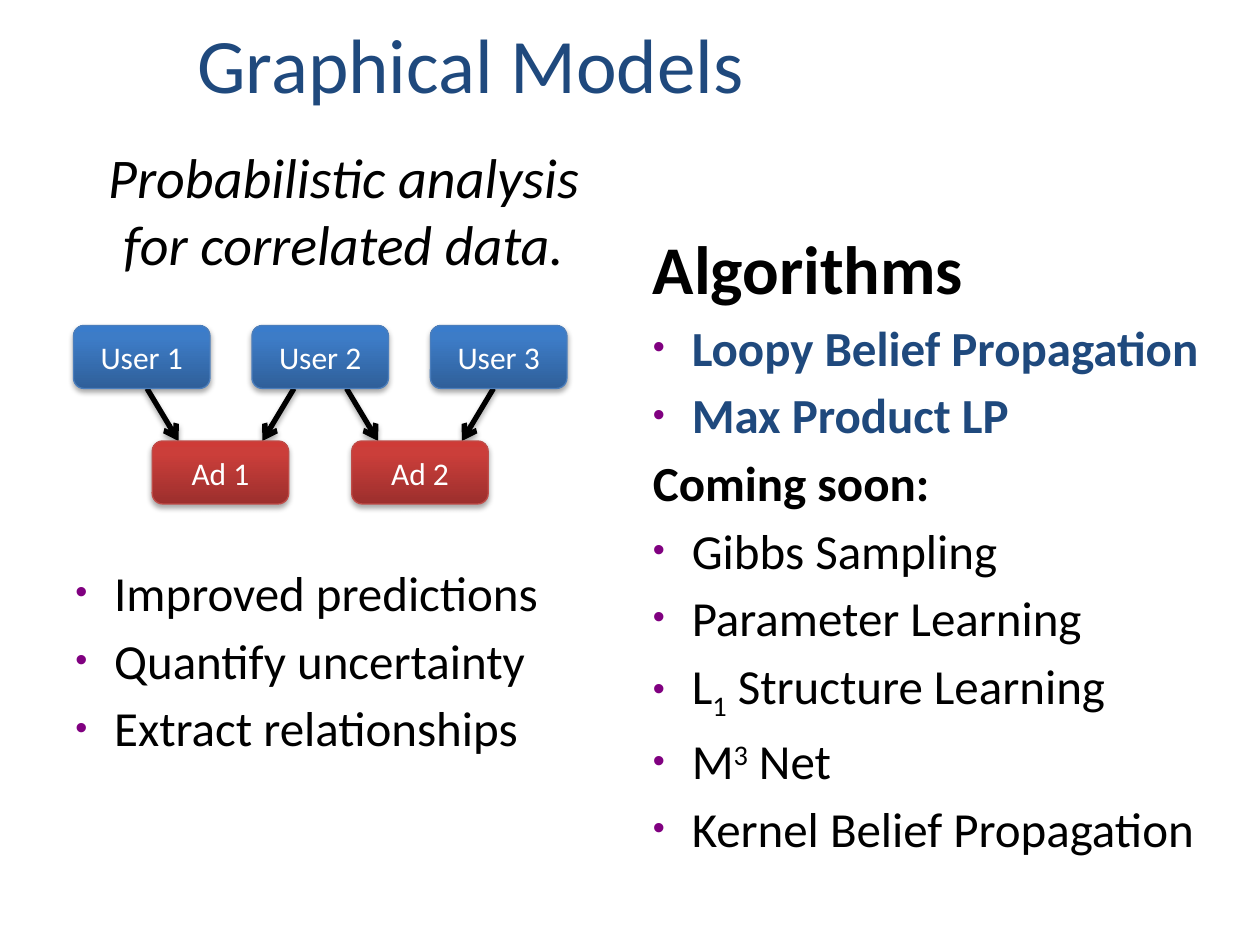
from copy import deepcopy
from dataclasses import dataclass

from lxml import etree
from pptx import Presentation
from pptx import util as u
from pptx.dml.color import RGBColor
from pptx.enum import shapes, text
from pptx.oxml import ns

PX = 7620


@dataclass(frozen=True)
class Theme:
    font: str = "Calibri"
    navy: str = "1F497D"
    black: str = "000000"
    white: str = "FFFFFF"
    bullet: str = "800080"
    title: int = 44
    heading: int = 39
    lead: int = 32
    body: int = 28
    label: int = 18
    gap: int = 5
    indent: int = 37


@dataclass(frozen=True)
class Palette:
    stops: tuple[tuple[float, str], ...]
    outline: str


@dataclass(frozen=True)
class Node:
    label: str
    left: int
    top: int
    palette: Palette


@dataclass(frozen=True)
class Line:
    spans: tuple[tuple[str, int], ...]
    size: int = Theme.body
    color: str = Theme.black
    bold: bool = False
    italic: bool = False
    bullet: bool = True
    centered: bool = False


THEME = Theme()
BLUE = Palette(((0, "2F5F99"), (0.8, "3D7CC7"), (1, "3A7CCB")), "4B7EBC")
RED = Palette(((0, "9C2F2D"), (0.8, "CB3E3A"), (1, "CE3B37")), "BF4C48")
NODE_WIDTH, NODE_HEIGHT = 130, 60
USER_TOP, AD_TOP = 310, 420
ADS = [Node(f"Ad {i + 1}", 145 + 190 * i, AD_TOP, RED) for i in range(2)]
USERS = [Node(f"User {i + 1}", 70 + 170 * i, USER_TOP, BLUE) for i in range(3)]
ARROWS = [(140, 170), (280, 250), (330, 360), (470, 440)]

LEAD = [Line((("Probabilistic analysis for correlated data.", 0),),
             size=THEME.lead, italic=True, bullet=False, centered=True)]
BENEFITS = [Line(((words, 0),)) for words in
            ("Improved predictions", "Quantify uncertainty", "Extract relationships")]
ALGORITHMS = [
    Line((("Algorithms", 0),), size=THEME.heading, bold=True, bullet=False),
    Line((("Loopy Belief Propagation", 0),), color=THEME.navy, bold=True),
    Line((("Max Product LP", 0),), color=THEME.navy, bold=True),
    Line((("Coming soon:", 0),), bold=True, bullet=False),
    Line((("Gibbs Sampling", 0),)),
    Line((("Parameter Learning", 0),)),
    Line((("L", 0), ("1", -25000), (" Structure Learning", 0))),
    Line((("M", 0), ("3", 30000), (" Net", 0))),
    Line((("Kernel Belief Propagation", 0),)),
]


def px(*lengths: int) -> list[int]:
    return [length * PX for length in lengths]


def add_element(parent, tag: str, **values):
    child = etree.SubElement(parent, ns.qn(tag))
    for name, value in values.items():
        child.set(name, str(value))
    return child


def style_font(font, color: str, **values) -> None:
    for name, value in {"name": THEME.font, **values}.items():
        setattr(font, name, value)
    font.color.rgb = RGBColor.from_string(color)


def add_shadow(properties) -> None:
    effects = add_element(properties, "a:effectLst")
    shadow = add_element(effects, "a:outerShdw", blurRad=40000, dist=23000,
                         dir=5400000, rotWithShape=0)
    color = add_element(shadow, "a:srgbClr", val=THEME.black)
    add_element(color, "a:alpha", val=35000)


def add_bullet(para) -> None:
    properties = para._p.get_or_add_pPr()
    properties.set("marL", str(THEME.indent * PX))
    properties.set("indent", str(-THEME.indent * PX))
    add_element(add_element(properties, "a:buClr"), "a:srgbClr", val=THEME.bullet)
    add_element(properties, "a:buSzPct", val=70000)
    add_element(properties, "a:buFont", typeface="Arial")
    add_element(properties, "a:buChar", char="•")


def draw_text(page, place: tuple[int, int, int, int], lines: list[Line]) -> None:
    frame = page.shapes.add_textbox(*px(*place)).text_frame
    frame.word_wrap = True
    for index, line in enumerate(lines):
        para = frame.add_paragraph() if index else frame.paragraphs[0]
        if line.bullet:
            add_bullet(para)
        if line.centered:
            para.alignment = text.PP_ALIGN.CENTER
        para.space_before = u.Pt(THEME.gap if index else 0)
        for words, baseline in line.spans:
            span = para.add_run()
            span.text = words
            style_font(span.font, line.color, size=u.Pt(line.size),
                       bold=line.bold, italic=line.italic)
            if baseline:
                span._r.get_or_add_rPr().set("baseline", str(baseline))


def draw_title(page, words: str) -> None:
    title = page.shapes.title
    for name, value in zip(("left", "top", "width", "height"), px(176, 10, 984, 100)):
        setattr(title, name, value)
    frame = title.text_frame
    frame.auto_size = text.MSO_AUTO_SIZE.NONE
    frame.vertical_anchor = text.MSO_ANCHOR.BOTTOM
    para = frame.paragraphs[0]
    para.alignment = text.PP_ALIGN.LEFT
    span = para.add_run()
    span.text = words
    style_font(span.font, THEME.navy, size=u.Pt(THEME.title))


def draw_arrow(page, start: int, end: int) -> None:
    arrow = page.shapes.add_connector(
        shapes.MSO_CONNECTOR.STRAIGHT, *px(start, USER_TOP + NODE_HEIGHT, end, AD_TOP))
    arrow.line.width = u.Pt(3)
    arrow.line.color.rgb = RGBColor.from_string(THEME.black)
    add_element(arrow.line._get_or_add_ln(), "a:tailEnd", type="arrow")
    add_shadow(arrow._element.spPr)


def draw_node(page, node: Node) -> None:
    box = page.shapes.add_shape(shapes.MSO_SHAPE.ROUNDED_RECTANGLE,
                                *px(node.left, node.top, NODE_WIDTH, NODE_HEIGHT))
    box.fill.gradient()
    box.fill.gradient_angle = 90
    stop_list = box._element.spPr.find(".//" + ns.qn("a:gsLst"))
    stop_list.append(deepcopy(stop_list[-1]))
    for stop, (position, color) in zip(box.fill.gradient_stops, node.palette.stops):
        stop.position = position
        stop.color.rgb = RGBColor.from_string(color)
    box.line.color.rgb = RGBColor.from_string(node.palette.outline)
    box.line.width = u.Pt(0.75)
    add_shadow(box._element.spPr)
    frame = box.text_frame
    frame.vertical_anchor = text.MSO_ANCHOR.MIDDLE
    para = frame.paragraphs[0]
    para.alignment = text.PP_ALIGN.CENTER
    span = para.add_run()
    span.text = node.label
    style_font(span.font, THEME.white, size=u.Pt(THEME.label))


def main() -> None:
    deck = Presentation()
    deck.slide_width, deck.slide_height = px(1200, 900)
    page = deck.slides.add_slide(deck.slide_layouts[5])
    draw_title(page, "Graphical Models")
    draw_text(page, (60, 130, 535, 140), LEAD)
    draw_text(page, (60, 530, 535, 274), BENEFITS)
    draw_text(page, (610, 210, 560, 594), ALGORITHMS)
    for start, end in ARROWS:
        draw_arrow(page, start, end)
    for node in ADS + USERS:
        draw_node(page, node)
    deck.save("out.pptx")


if __name__ == "__main__":
    main()
